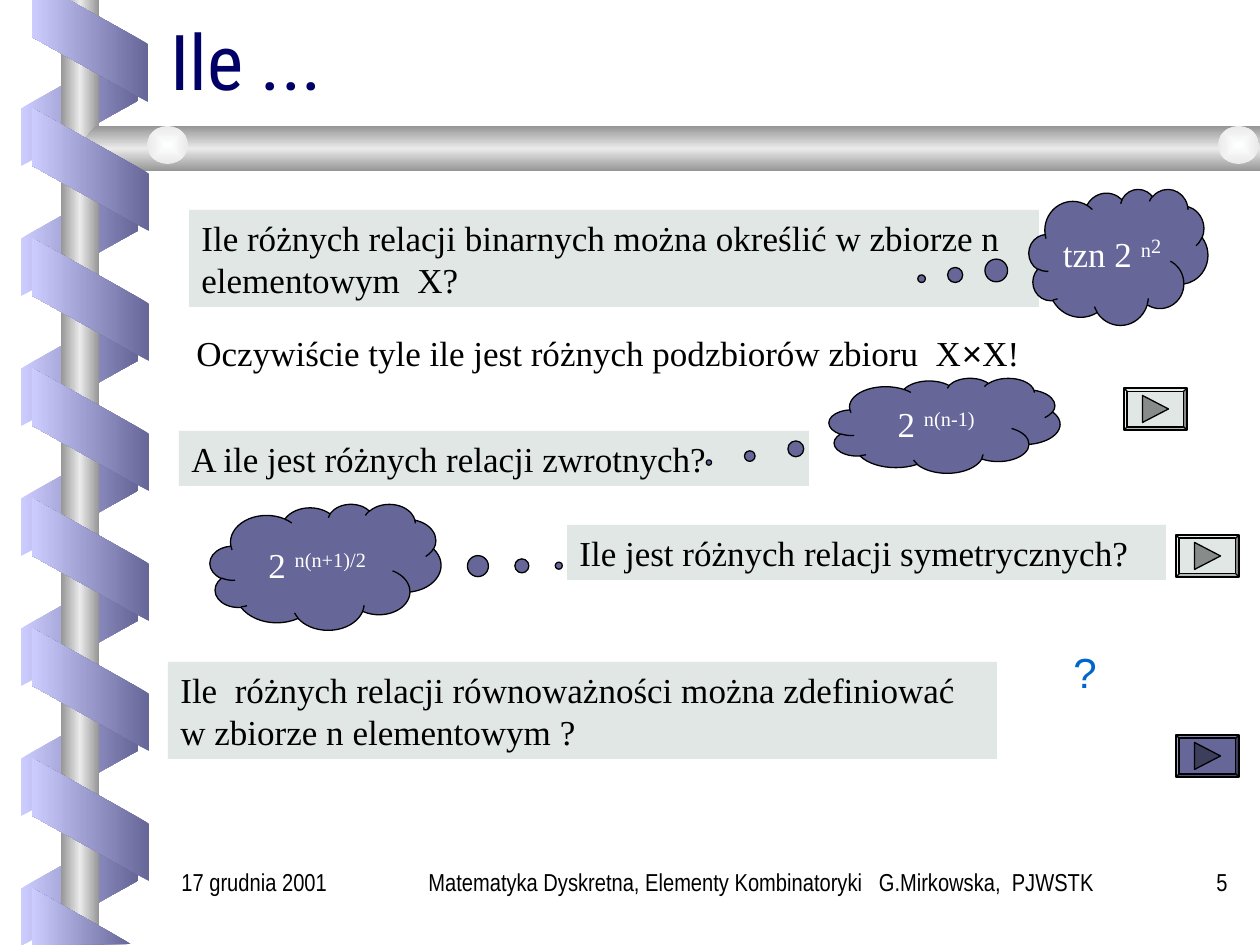
import dataclasses

import lxml.etree
import pptx
import pptx.dml.color
import pptx.enum.shapes
import pptx.enum.text
import pptx.oxml.ns
import pptx.util

SHAPE = pptx.enum.shapes.MSO_SHAPE
ALIGN = pptx.enum.text.PP_ALIGN
ANCHOR = pptx.enum.text.MSO_ANCHOR
PX = 914400 / 126
qn = pptx.oxml.ns.qn


def emu(*lengths):
    return [pptx.util.Emu(round(n * PX)) for n in lengths]


def rgb(value):
    return pptx.dml.color.RGBColor.from_string(value)


@dataclasses.dataclass
class Theme:
    ink: str = "000000"
    white: str = "FFFFFF"
    title: str = "000066"
    question: str = "0066CC"
    panel: str = "E1E7E4"
    cloud: str = "666699"
    panel_arrow: str = "878B89"
    cloud_arrow: str = "3D3D5C"
    back: tuple = ("CCCCFF", "666699")
    front: tuple = ("666699", "CCCCFF")
    metal: tuple = ("969696", "EAEAEA", "969696")
    knob: tuple = ("FEFFFF", "EAEAEA")
    title_size: int = 44
    question_size: int = 24
    body_size: int = 20
    footer_size: int = 14
    line: float = 0.75
    title_font: str = "Roboto Condensed"
    body_font: str = "Times New Roman"
    symbol_font: str = "Arial"
    footer_font: str = "Arial Narrow"


class Deck:
    def __init__(self, theme):
        self.theme = theme
        self.prs = pptx.Presentation()
        self.prs.slide_width, self.prs.slide_height = emu(1260, 945)
        self.s = self.prs.slides.add_slide(self.prs.slide_layouts[6])

    def paint(self, sp, fill, line=False, angle=180):
        sp.shadow.inherit = False
        if isinstance(fill, str):
            sp.fill.solid()
            sp.fill.fore_color.rgb = rgb(fill)
        else:
            self.gradient(sp, fill, angle)
        if line:
            sp.line.color.rgb = rgb(self.theme.ink)
            sp.line.width = pptx.util.Pt(self.theme.line)
        else:
            sp.line.fill.background()
        return sp

    def gradient(self, sp, colors, angle):
        sp.fill.gradient()
        grad = sp._element.spPr.find(qn("a:gradFill"))
        grad.clear()
        grad.set("rotWithShape", "0")
        sub = lxml.etree.SubElement
        stops = sub(grad, qn("a:gsLst"))
        for i, color in enumerate(colors):
            stop = sub(stops, qn("a:gs"), pos=str(100000 * i // (len(colors) - 1)))
            sub(stop, qn("a:srgbClr"), val=color)
        if angle is None:
            center = sub(grad, qn("a:path"), path="rect")
            sub(center, qn("a:fillToRect"), l="50000", t="50000", r="50000", b="50000")
        else:
            sub(grad, qn("a:lin"), ang=str(angle * 60000), scaled="0")

    def shape(self, kind, box, fill, line=False, adj=(), angle=180):
        sp = self.s.shapes.add_shape(kind, *emu(*box))
        for i, value in enumerate(adj):
            sp.adjustments[i] = value
        return self.paint(sp, fill, line, angle)

    def outline(self, points, fill, angle=180):
        fb = self.s.shapes.build_freeform(*points[0], scale=PX)
        fb.add_line_segments(points[1:], close=True)
        return self.paint(fb.convert_to_shape(), fill, angle=angle)

    def strand(self, x, y, fill, rotation, flip=False):
        sp = self.shape(SHAPE.PARALLELOGRAM, (x, y, 123, 117), fill, adj=(0.56,))
        sp.rotation = rotation
        if flip:
            sp._element.spPr.xfrm.set("flipH", "1")

    def set_text(self, sp, runs, size, font, color, align=ALIGN.LEFT,
                 anchor=ANCHOR.TOP, wrap=True):
        tf = sp.text_frame
        tf.word_wrap = wrap
        tf.vertical_anchor = anchor
        p = tf.paragraphs[0]
        p.alignment = align
        for text, base, face in runs:
            r = p.add_run()
            r.text = text
            r.font.size = pptx.util.Pt(size)
            r.font.name = face or font
            r.font.color.rgb = rgb(color)
            if base:
                r._r.get_or_add_rPr().set("baseline", str(base * 1000))
        return p

    def text(self, box, runs, size, font, color, **layout):
        if isinstance(runs, str):
            runs = [(runs, 0, None)]
        sp = self.s.shapes.add_textbox(*emu(*box))
        return self.set_text(sp, runs, size, font, color, **layout)

    def panel(self, box, text):
        t = self.theme
        sp = self.shape(SHAPE.RECTANGLE, box, t.panel)
        self.set_text(sp, [(text, 0, None)], t.body_size, t.body_font, t.ink)
        sp.text_frame.auto_size = pptx.enum.text.MSO_AUTO_SIZE.SHAPE_TO_FIT_TEXT

    def cloud(self, box, tail, base, *powers):
        t = self.theme
        sp = self.shape(SHAPE.CLOUD_CALLOUT, box, t.cloud, True, tail)
        runs = [(base, 0, None)] + [(text, rise, None) for text, rise in powers]
        self.set_text(sp, runs, t.body_size, t.body_font, t.white,
                      ALIGN.CENTER, ANCHOR.MIDDLE, False)

    def button(self, x, y, fill, arrow):
        self.shape(SHAPE.BEVEL, (x, y, 63, 42), fill, True, (0.075,))
        sp = self.shape(SHAPE.ISOSCELES_TRIANGLE, (x + 18, y + 8, 27, 26), arrow, True)
        sp.rotation = 90


def main():
    t = Theme()
    d = Deck(t)
    pitch = 130

    for i in range(7):
        d.strand(18, 46 + pitch * i, t.back, 90, True)
    d.shape(SHAPE.RECTANGLE, (61, 0, 38, 945), t.metal)
    d.outline([(1260, 126), (96, 126), (76, 149), (96, 171), (1260, 171)], t.metal, 90)
    for x in (147, 1218):
        d.shape(SHAPE.OVAL, (x, 126, 41, 38), t.knob, angle=None)
    for i in range(6):
        d.strand(29, 111 + pitch * i, t.front, 270)
    d.outline([(32, 0), (32, 37), (148, 102), (148, 44), (69, 0)], t.front)
    d.outline([(131, 944), (32, 888), (32, 945)], t.front)

    p = d.text((158, 31, 1071, 80), "Ile ...", t.title_size, t.title_font, t.title,
               anchor=ANCHOR.BOTTOM)
    p.line_spacing = 0.8

    d.panel((189, 210, 850, 97),
            "Ile różnych relacji binarnych można określić w zbiorze n elementowym  X?")
    d.text((184, 325, 864, 55),
           [("Oczywiście tyle ile jest różnych podzbiorów zbioru  X", 0, None),
            ("×", 0, t.symbol_font), ("X!", 0, None)],
           t.body_size, t.body_font, t.ink, wrap=False)
    d.cloud((1029, 189, 179, 136), (-1.1, 0.16), "tzn 2 ", ("n", 30), ("2", 42))
    d.panel((179, 431, 630, 55), "A ile jest różnych relacji zwrotnych?")
    d.panel((567, 525, 599, 55), "Ile jest różnych relacji symetrycznych?")
    d.panel((168, 662, 829, 97),
            "Ile  różnych relacji równoważności można zdefiniować w zbiorze n elementowym ?")
    d.cloud((829, 378, 231, 95), (-1.02, 0.39), "2 ", ("n(n-1)", 30))
    d.cloud((210, 504, 231, 126), (1.01, -0.01), "2 ", ("n(n+1)/2", 30))
    d.text((1061, 640, 84, 105), "?", t.question_size, t.symbol_font, t.question,
           wrap=False)

    d.button(1124, 388, t.panel, t.panel_arrow)
    d.button(1176, 535, t.panel, t.panel_arrow)
    d.button(1176, 735, t.cloud, t.cloud_arrow)

    for x, width, text, align in (
        (399, 725, "Matematyka Dyskretna, Elementy Kombinatoryki   G.Mirkowska,  PJWSTK",
         ALIGN.CENTER),
        (1134, 106, "5", ALIGN.RIGHT),
        (169, 219, "17 grudnia 2001", ALIGN.LEFT),
    ):
        d.text((x, 861, width, 63), text, t.footer_size, t.footer_font, t.ink, align=align)

    d.prs.save("out.pptx")


if __name__ == "__main__":
    main()
